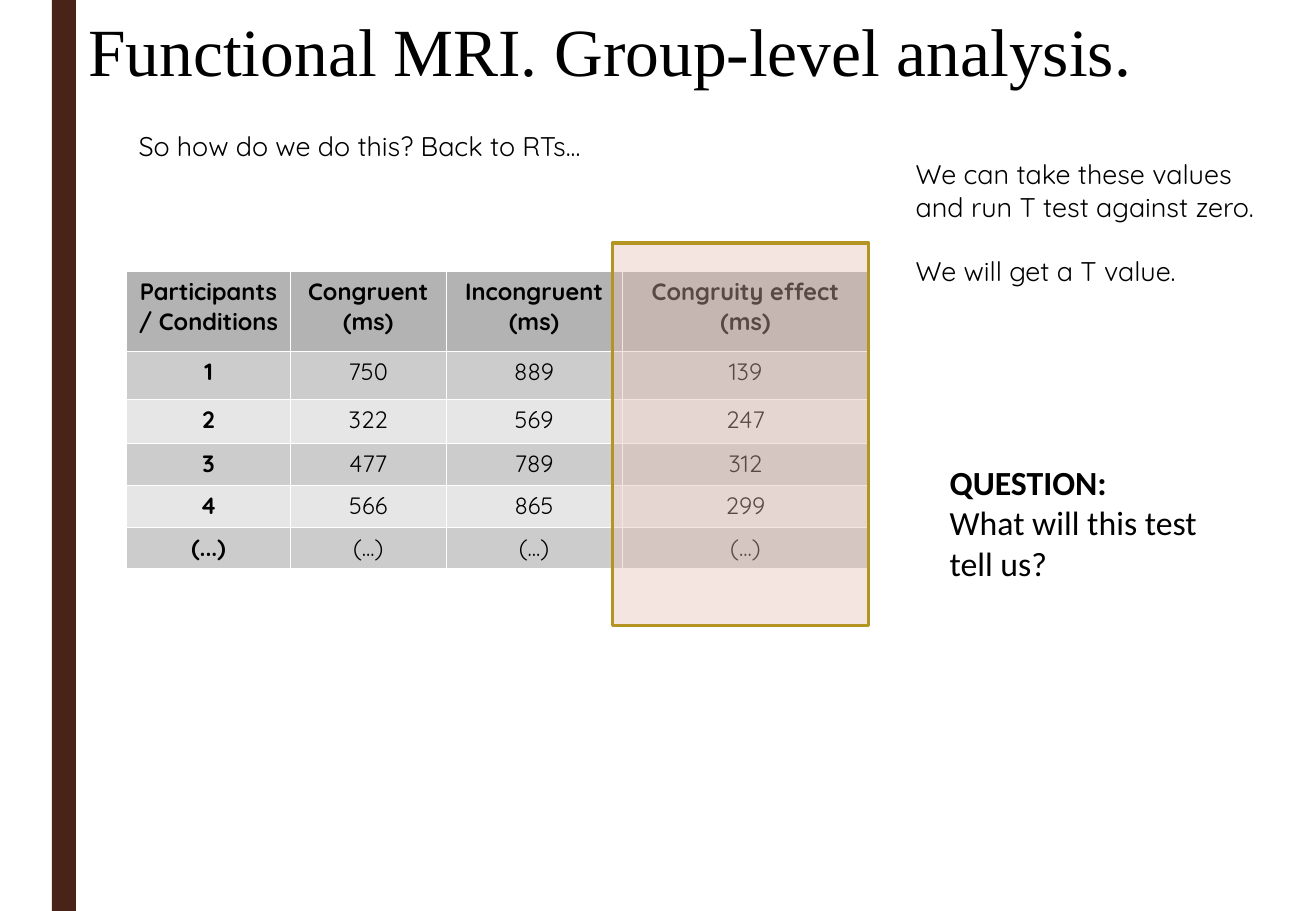
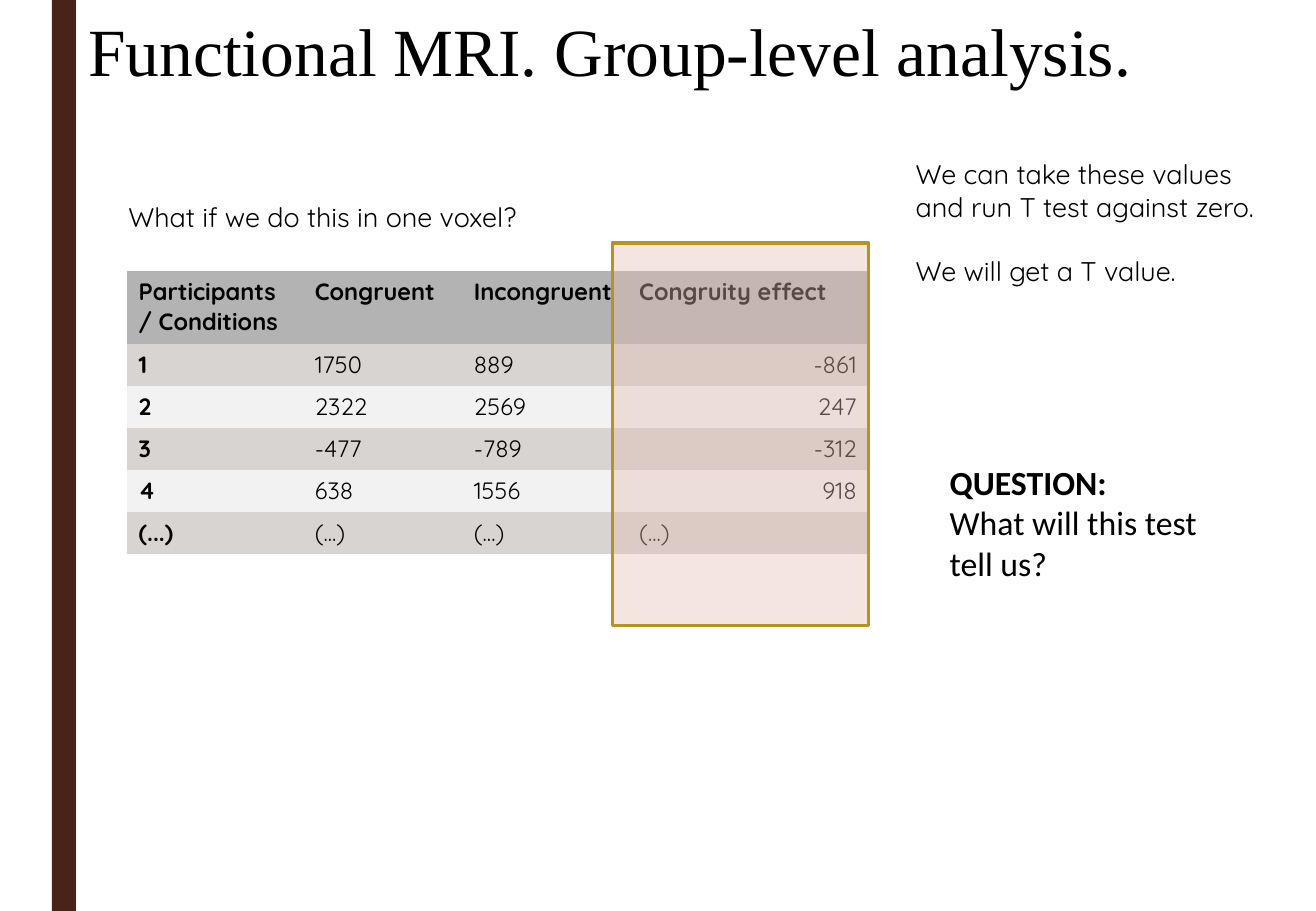
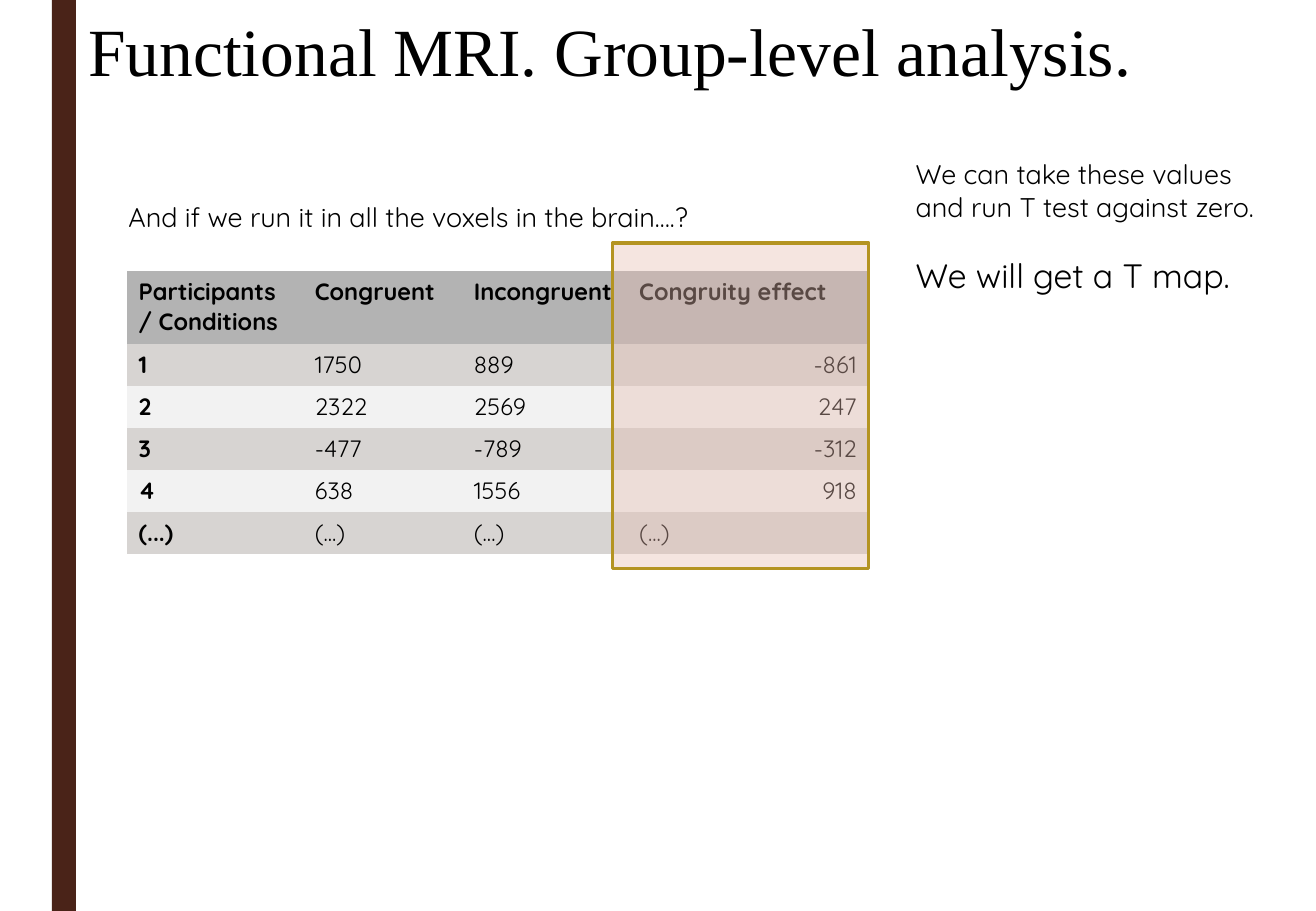
"""Build three slides on group-level analysis of functional MRI data."""
from dataclasses import dataclass

from lxml import etree
from pptx import Presentation
from pptx.dml.color import RGBColor
from pptx.enum import shapes, text
from pptx.oxml import ns
from pptx.util import Pt


@dataclass(frozen=True)
class Theme:
    ink: str = "000000"
    paper: str = "FFFFFF"
    band: str = "4A2318"
    header: str = "B3B3B3"
    glow: str = "E6BDB1"
    glow_alpha: int = 39
    gold: str = "B49422"
    title_font: str = "Times New Roman"
    body_font: str = "Quicksand"
    question_font: str = "Calibri"
    title_size: float = 40
    large_size: float = 20
    body_size: float = 16
    table_size: float = 14


THEME = Theme()
LEFT, CENTER, RIGHT = text.PP_ALIGN.LEFT, text.PP_ALIGN.CENTER, text.PP_ALIGN.RIGHT

TITLE = "Functional MRI. Group-level analysis."
TEST_NOTE = "We can take these values and run T test against zero."
QUESTION = ("QUESTION:", "What will this test tell us?")

REACTION_TIMES = {
    "rows": [
        ("Participants / Conditions", "Congruent (ms)", "Incongruent\n(ms)", "Congruity effect\n(ms)"),
        ("1", "750", "889", "139"),
        ("2", "322", "569", "247"),
        ("3", "477", "789", "312"),
        ("4", "566", "865", "299"),
        ("(...)", "(...)", "(...)", "(...)"),
    ],
    "widths": (97.2, 92.2, 104.4, 146.2),
    "heights": (47.5, 28.5, 26, 25, 25, 24),
    "bands": ("CCCCCC", "E6E6E6"),
    "centered": True,
    "border": THEME.paper,
}
VOXEL_VALUES = {
    "rows": [
        ("Participants / Conditions", "Congruent", "Incongruent", "Congruity effect"),
        ("1", "1750", "889", "-861"),
        ("2", "2322", "2569", "247"),
        ("3", "-477", "-789", "-312"),
        ("4", "638", "1556", "918"),
        ("(...)", "(...)", "(...)", "(...)"),
    ],
    "widths": (104.4, 94.3, 98, 143.3),
    "heights": (43.2, 25, 25, 25, 25, 25),
    "bands": ("D7D4D2", "F2F2F2"),
    "centered": False,
    "border": None,
}

SLIDES = [
    {"caption": "So how do we do this? Back to RTs...", "caption_at": (75, 73.5),
     "table": REACTION_TIMES, "result": "We will get a T value.",
     "result_size": THEME.body_size, "question": True, "highlight_height": 227},
    {"caption": "What if we do this in one voxel?", "caption_at": (69, 115.5),
     "table": VOXEL_VALUES, "result": "We will get a T value.",
     "result_size": THEME.body_size, "question": True, "highlight_height": 227},
    {"caption": "And if we run it in all the voxels in the brain….?", "caption_at": (69, 115.5),
     "table": VOXEL_VALUES, "result": "We will get a T map.",
     "result_size": THEME.large_size, "question": False, "highlight_height": 193},
]

SLIDE_SIZE = (780, 540)
BAND_AT = (30.8, 0, 14.2, 540)
TITLE_AT = (45.2, 0, 718, 58.5)
CAPTION_SIZE = (420, 36)
TABLE_AT = (75, 160.5)
NOTE_AT = (535.7, 90, 220.3, 140)
NOTE_GAP = 19
QUESTION_AT = (555.8, 270, 180, 87)
HIGHLIGHT_AT = (363, 144, 152)


def rgb(color):
    return RGBColor.from_string(color)


def write(para, words, font, size, bold=False, align=LEFT):
    para.alignment = align
    span = para.add_run()
    span.text = words
    span.font.name = font
    span.font.size = Pt(size)
    span.font.bold = bold
    span.font.color.rgb = rgb(THEME.ink)


def next_para(frame, index):
    return frame.add_paragraph() if index else frame.paragraphs[0]


def add_rectangle(page, place, fill, line=None):
    box = page.shapes.add_shape(shapes.MSO_SHAPE.RECTANGLE, *map(Pt, place))
    box.shadow.inherit = False
    box.fill.solid()
    box.fill.fore_color.rgb = rgb(fill)
    if line:
        box.line.color.rgb = rgb(line)
        box.line.width = Pt(2)
    else:
        box.line.fill.background()
    return box


def add_text(page, place):
    frame = page.shapes.add_textbox(*map(Pt, place)).text_frame
    frame.word_wrap = True
    return frame


def move_band_to_layout(page):
    band = add_rectangle(page, BAND_AT, THEME.band)
    page.slide_layout.shapes.element.insert(2, band.element)


def set_title(page):
    title = page.shapes.title
    title.left, title.top, title.width, title.height = map(Pt, TITLE_AT)
    title.text_frame.vertical_anchor = text.MSO_ANCHOR.MIDDLE
    write(title.text_frame.paragraphs[0], TITLE, THEME.title_font, THEME.title_size)


def set_borders(cell, color):
    properties = cell._tc.get_or_add_tcPr()
    for side in ("a:lnL", "a:lnR", "a:lnT", "a:lnB"):
        line = etree.SubElement(properties, ns.qn(side), w=str(Pt(0.06)))
        if color:
            fill = etree.SubElement(line, ns.qn("a:solidFill"))
            etree.SubElement(fill, ns.qn("a:srgbClr"), val=color)
        else:
            etree.SubElement(line, ns.qn("a:noFill"))


def cell_align(data, row, column, words):
    if data["centered"]:
        return CENTER
    is_number = words.lstrip("-").isdigit()
    return RIGHT if row and column == 3 and is_number else LEFT


def add_values(page, data):
    rows, widths, heights = data["rows"], data["widths"], data["heights"]
    place = (*TABLE_AT, sum(widths), sum(heights))
    table = page.shapes.add_table(len(rows), len(widths), *map(Pt, place)).table
    table.first_row = table.horz_banding = False
    for column, width in zip(table.columns, widths):
        column.width = Pt(width)
    for r, values in enumerate(rows):
        table.rows[r].height = Pt(heights[r])
        fill = data["bands"][(r - 1) % 2] if r else THEME.header
        for c, words in enumerate(values):
            cell = table.cell(r, c)
            set_borders(cell, data["border"])
            cell.fill.solid()
            cell.fill.fore_color.rgb = rgb(fill)
            for i, line in enumerate(words.split("\n")):
                write(next_para(cell.text_frame, i), line, THEME.body_font, THEME.table_size,
                      r == 0 or c == 0, cell_align(data, r, c, words))


def add_note(page, result, size):
    frame = add_text(page, NOTE_AT)
    write(frame.paragraphs[0], TEST_NOTE, THEME.body_font, THEME.body_size)
    para = frame.add_paragraph()
    para.space_before = Pt(NOTE_GAP)
    write(para, result, THEME.body_font, size)


def add_question(page):
    frame = add_rectangle(page, QUESTION_AT, THEME.paper).text_frame
    frame.word_wrap = True
    frame.vertical_anchor = text.MSO_ANCHOR.TOP
    for i, words in enumerate(QUESTION):
        write(next_para(frame, i), words, THEME.question_font, THEME.large_size, i == 0)


def add_highlight(page, height):
    box = add_rectangle(page, (*HIGHLIGHT_AT, height), THEME.glow, THEME.gold)
    color = box.element.spPr.find(ns.qn("a:solidFill")).find(ns.qn("a:srgbClr"))
    etree.SubElement(color, ns.qn("a:alpha"), val=str(THEME.glow_alpha * 1000))


def main():
    deck = Presentation()
    deck.slide_width, deck.slide_height = map(Pt, SLIDE_SIZE)
    for number, content in enumerate(SLIDES):
        page = deck.slides.add_slide(deck.slide_layouts[5])
        if number == 0:
            move_band_to_layout(page)
        set_title(page)
        caption = add_text(page, (*content["caption_at"], *CAPTION_SIZE))
        write(caption.paragraphs[0], content["caption"], THEME.body_font, THEME.body_size)
        add_values(page, content["table"])
        add_note(page, content["result"], content["result_size"])
        if content["question"]:
            add_question(page)
        add_highlight(page, content["highlight_height"])
    deck.save("out.pptx")


if __name__ == "__main__":
    main()
